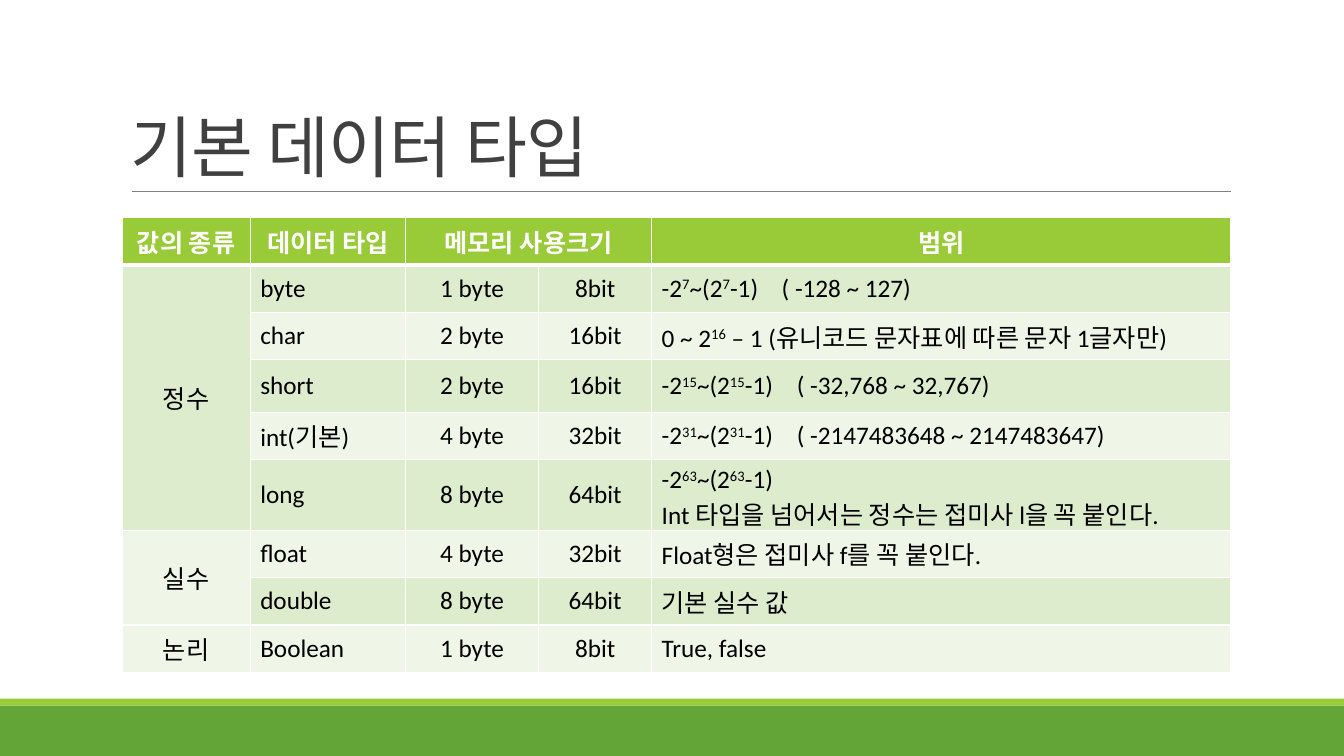
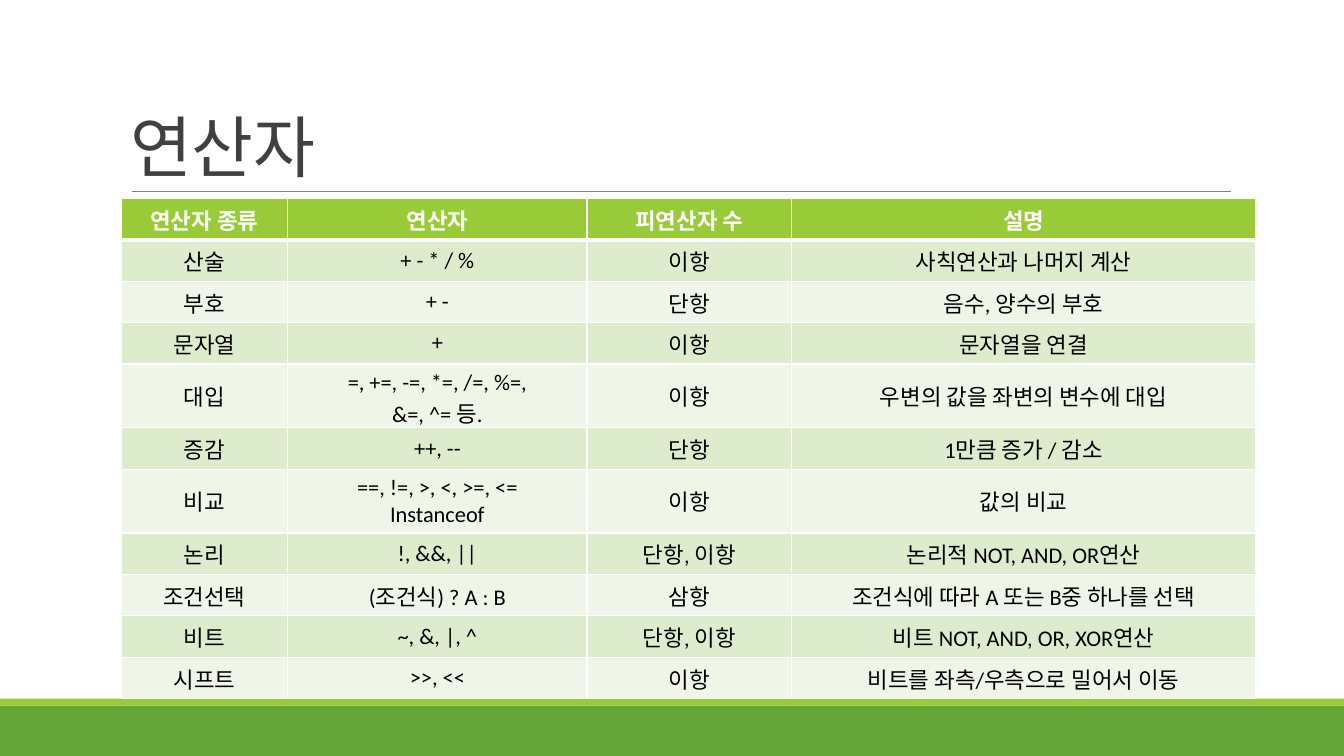
from lxml import etree
from pptx import Presentation
from pptx import util as u
from pptx.dml.color import RGBColor
from pptx.enum import shapes, text
from pptx.oxml import ns

FONT = "Calibri"
WHITE, BLACK, TITLE, RULE = "FFFFFF", "000000", "404040", "808080"
LIME, GREEN = "99CB38", "63A537"
STRIPES = ["EFF6E8", "DEECCE"]
LEFT, CENTER = text.PP_ALIGN.LEFT, text.PP_ALIGN.CENTER


def rgb(value):
    return RGBColor.from_string(value)


def write(tf, content, size=18, color=BLACK, bold=False, align=LEFT, leading=None, spacing=None, tab=None):
    for i, line in enumerate(content.split("\n")):
        p = tf.add_paragraph() if i else tf.paragraphs[0]
        p.alignment = align
        if leading:
            p.line_spacing = leading
        if tab:
            tabs = etree.SubElement(p._p.get_or_add_pPr(), ns.qn("a:tabLst"))
            etree.SubElement(tabs, ns.qn("a:tab"), pos=str(int(tab)), algn="l")
        for j, part in enumerate(line.split("`")):
            r = p.add_run()
            r.text = part
            r.font.name, r.font.size, r.font.bold = FONT, u.Pt(size), bold
            r.font.color.rgb = rgb(color)
            if j % 2:
                r.font._element.set("baseline", "30000")
            if spacing:
                r.font._element.set("spc", str(spacing))


prs = Presentation()
prs.slide_width, prs.slide_height = u.Inches(13.33), u.Inches(7.5)
col, row = prs.slide_width / 100, prs.slide_height / 100

slides = [
    {
        "title": "기본 데이터 타입",
        "at": (9.08, 28.8),
        "width": 82.5,
        "size": 18,
        "cols": [11.56, 14.01, 12.01, 10.19, 52.23],
        "heights": [6.27] * 3 + [6.93] + [6.27] * 5,
        "aligns": [CENTER, LEFT, CENTER, CENTER, LEFT],
        "merges": [(0, 2, 0, 3), (1, 0, 5, 0), (6, 0, 7, 0)],
        "rows": [
            ("값의 종류", "데이터 타입", "메모리 사용크기", "", "범위"),
            ("정수", "byte", "1 byte", "8bit", "-2`7`~(2`7`-1)\t( -128 ~ 127)"),
            ("", "char", "2 byte", "16bit", "0 ~ 2`16` – 1 (유니코드 문자표에 따른 문자 1글자만)"),
            ("", "short", "2 byte", "16bit", "-2`15`~(2`15`-1)\t( -32,768 ~ 32,767)"),
            ("", "int(기본)", "4 byte", "32bit", "-2`31`~(2`31`-1)\t( -2147483648 ~ 2147483647)"),
            ("", "long", "8 byte", "64bit", "-2`63`~(2`63`-1)\nInt 타입을 넘어서는 정수는 접미사 l을 꼭 붙인다."),
            ("실수", "float", "4 byte", "32bit", "Float형은 접미사 f를 꼭 붙인다."),
            ("", "double", "8 byte", "64bit", "기본 실수 값"),
            ("논리", "Boolean", "1 byte", "8bit", "True, false"),
        ],
    },
    {
        "title": "연산자",
        "at": (9.02, 26.27),
        "width": 84.4,
        "size": 16,
        "cols": [14.67, 26.4, 18.04, 40.89],
        "heights": [5.47] * 11,
        "aligns": [CENTER] * 4,
        "merges": [],
        "rows": [
            ("연산자 종류", "연산자", "피연산자 수", "설명"),
            ("산술", "+ - * / %", "이항", "사칙연산과 나머지 계산"),
            ("부호", "+ -", "단항", "음수, 양수의 부호"),
            ("문자열", "+", "이항", "문자열을 연결"),
            ("대입", "=, +=, -=, *=, /=, %=,\n&=, ^= 등.", "이항", "우변의 값을 좌변의 변수에 대입"),
            ("증감", "++, --", "단항", "1만큼 증가 / 감소"),
            ("비교", "==, !=, >, <, >=, <=\nInstanceof", "이항", "값의 비교"),
            ("논리", "!, &&, ||", "단항, 이항", "논리적 NOT, AND, OR연산"),
            ("조건선택", "(조건식) ? A : B", "삼항", "조건식에 따라 A 또는 B중 하나를 선택"),
            ("비트", "~, &, |, ^", "단항, 이항", "비트 NOT, AND, OR, XOR연산"),
            ("시프트", ">>, <<", "이항", "비트를 좌측/우측으로 밀어서 이동"),
        ],
    },
]

for data in slides:
    s = prs.slides.add_slide(prs.slide_layouts[6])

    for top, height, color in [(93.33, 6.67, GREEN), (92.4, 0.93, LIME)]:
        sp = s.shapes.add_shape(shapes.MSO_SHAPE.RECTANGLE, 0, int(top * row), prs.slide_width, int(height * row))
        sp.shadow.inherit = False
        sp.fill.solid()
        sp.fill.fore_color.rgb = rgb(color)
        sp.line.fill.background()

    y = int(25.33 * row)
    rule = s.shapes.add_connector(shapes.MSO_CONNECTOR.STRAIGHT, int(9.83 * col), y, int(91.6 * col), y)
    rule.line.color.rgb, rule.line.width = rgb(RULE), u.Pt(0.5)
    etree.SubElement(rule._element.spPr, ns.qn("a:effectLst"))

    tf = s.shapes.add_textbox(int(9 * col), int(4.13 * row), int(82.5 * col), int(21.2 * row)).text_frame
    tf.word_wrap = True
    tf.vertical_anchor = text.MSO_ANCHOR.BOTTOM
    write(tf, data["title"], size=48, color=TITLE, leading=0.85, spacing=-50)

    left, top = data["at"]
    table = s.shapes.add_table(
        len(data["rows"]), len(data["cols"]), int(left * col), int(top * row),
        int(data["width"] * col), int(sum(data["heights"]) * row),
    ).table
    for column, share in zip(table.columns, data["cols"]):
        column.width = int(share / 100 * data["width"] * col)
    for line, height in zip(table.rows, data["heights"]):
        line.height = int(height * row)
    for r0, c0, r1, c1 in data["merges"]:
        table.cell(r0, c0).merge(table.cell(r1, c1))

    for i, values in enumerate(data["rows"]):
        for j, value in enumerate(values):
            cell = table.cell(i, j)
            cell.vertical_anchor = text.MSO_ANCHOR.MIDDLE
            cell.fill.solid()
            cell.fill.fore_color.rgb = rgb(STRIPES[i % 2] if i else LIME)
            tcPr = cell._tc.get_or_add_tcPr()
            for k, side in enumerate("LRTB"):
                thick = (i, side) in [(0, "B"), (1, "T")]
                ln = etree.Element(ns.qn("a:ln" + side), w=str(u.Pt(3 if thick else 1)))
                fill = etree.SubElement(ln, ns.qn("a:solidFill"))
                etree.SubElement(fill, ns.qn("a:srgbClr"), val=WHITE)
                tcPr.insert(k, ln)
            if value:
                tab = u.Inches(1.04 + 0.15 * len(value.split("`")[1])) if "\t" in value else None
                write(
                    cell.text_frame, value, size=data["size"], bold=i == 0, tab=tab,
                    color=BLACK if i else WHITE, align=data["aligns"][j] if i else CENTER,
                )

prs.save("out.pptx")
